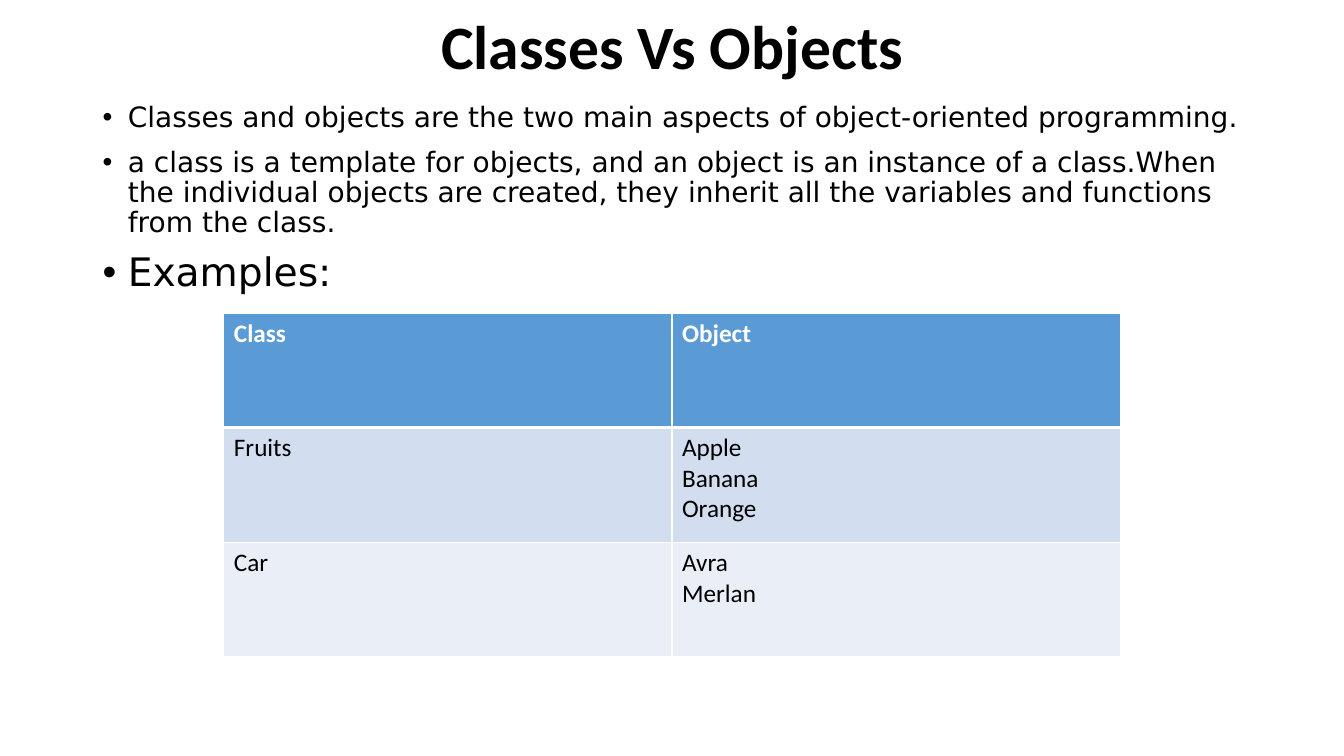
from dataclasses import dataclass

from lxml.etree import SubElement
from pptx import Presentation
from pptx.dml.color import RGBColor as Rgb
from pptx.enum.text import MSO_ANCHOR as Anchor, PP_ALIGN as Align
from pptx.oxml.ns import qn
from pptx.util import Inches, Pt


@dataclass(frozen=True)
class Theme:
    head_font: str = "Calibri"
    body_font: str = "DejaVu Sans"
    black: str = "000000"
    white: str = "FFFFFF"
    blue: str = "5B9BD5"
    bands: tuple = ("D2DEEF", "EAEFF7")
    title: int = 44
    large: int = 28
    body: int = 20
    cell: int = 18
    thin: int = 1
    thick: int = 3


class Deck:
    """Holds the theme and the slide being filled."""

    def __init__(self, theme):
        self.theme = theme
        self.file = Presentation()
        self.file.slide_width = Inches(13.33)
        self.file.slide_height = Inches(7.5)
        self.slide = self.file.slides.add_slide(self.file.slide_layouts[6])

    def style(self, para, font, size, color, bold=False):
        for run in para.runs:
            run.font.name = font
            run.font.size = Pt(size)
            run.font.bold = bold
            run.font.color.rgb = Rgb.from_string(color)

    def frame(self, *spot):
        box = self.slide.shapes.add_textbox(*map(Inches, spot))
        box.text_frame.word_wrap = True
        return box.text_frame

    def title(self, text, *spot):
        frame = self.frame(*spot)
        frame.text = text
        frame.vertical_anchor = Anchor.MIDDLE
        para = frame.paragraphs[0]
        para.alignment = Align.CENTER
        para.line_spacing = 0.9
        self.style(para, self.theme.head_font, self.theme.title,
                   self.theme.black, True)

    def bullets(self, items, *spot):
        """Write (text, size) pairs as a bulleted list."""
        frame = self.frame(*spot)
        frame.text = "\n".join(text for text, _ in items)
        for para, (_, size) in zip(frame.paragraphs, items):
            para.line_spacing = 0.9
            para.space_before = Pt(10)
            self.style(para, self.theme.body_font, size, self.theme.black)
            props = para._p.get_or_add_pPr()
            props.set("marL", str(Inches(0.25)))
            props.set("indent", str(-Inches(0.25)))
            SubElement(props, qn("a:buFont"), typeface="Arial")
            SubElement(props, qn("a:buChar"), char="•")

    def border(self, cell, top, bottom):
        """Draw white cell edges; top and bottom are widths in points."""
        thin = self.theme.thin
        props = cell._tc.get_or_add_tcPr()
        for side, width in zip("LRTB", (thin, thin, top, bottom)):
            line = SubElement(props, qn(f"a:ln{side}"), w=str(Pt(width)))
            fill = SubElement(line, qn("a:solidFill"))
            SubElement(fill, qn("a:srgbClr"), val=self.theme.white)

    def table(self, rows, heights, *spot):
        look = self.theme
        grid = self.slide.shapes.add_table(
            len(rows), len(rows[0]), *map(Inches, spot)).table
        for r, (row, height) in enumerate(zip(rows, heights)):
            grid.rows[r].height = Inches(height)
            head = r == 0
            back = look.blue if head else look.bands[(r - 1) % 2]
            ink = look.white if head else look.black
            for c, text in enumerate(row):
                cell = grid.cell(r, c)
                cell.text = text
                for para in cell.text_frame.paragraphs:
                    self.style(para, look.head_font, look.cell, ink, head)
                self.border(cell, look.thick if r == 1 else look.thin,
                            look.thick if head else look.thin)
                cell.fill.solid()
                cell.fill.fore_color.rgb = Rgb.from_string(back)


def main():
    theme = Theme()
    deck = Deck(theme)
    deck.title("Classes Vs Objects", 0.92, 0, 11.5, 0.98)
    deck.bullets([
        ("Classes and objects are the two main aspects of "
         "object-oriented programming.", theme.body),
        ("a class is a template for objects, and an object is an instance "
         "of a class.When the individual objects are created, they inherit "
         "all the variables and functions from the class.", theme.body),
        ("Examples:", theme.large),
    ], 0.92, 0.98, 11.5, 6.66)
    deck.table([
        ("Class", "Object"),
        ("Fruits", "Apple\nBanana\nOrange"),
        ("Car", "Avra\nMerlan"),
    ], (1.13, 1.14, 1.13), 2.22, 3.11, 8.89, 3.41)
    deck.file.save("out.pptx")


if __name__ == "__main__":
    main()
